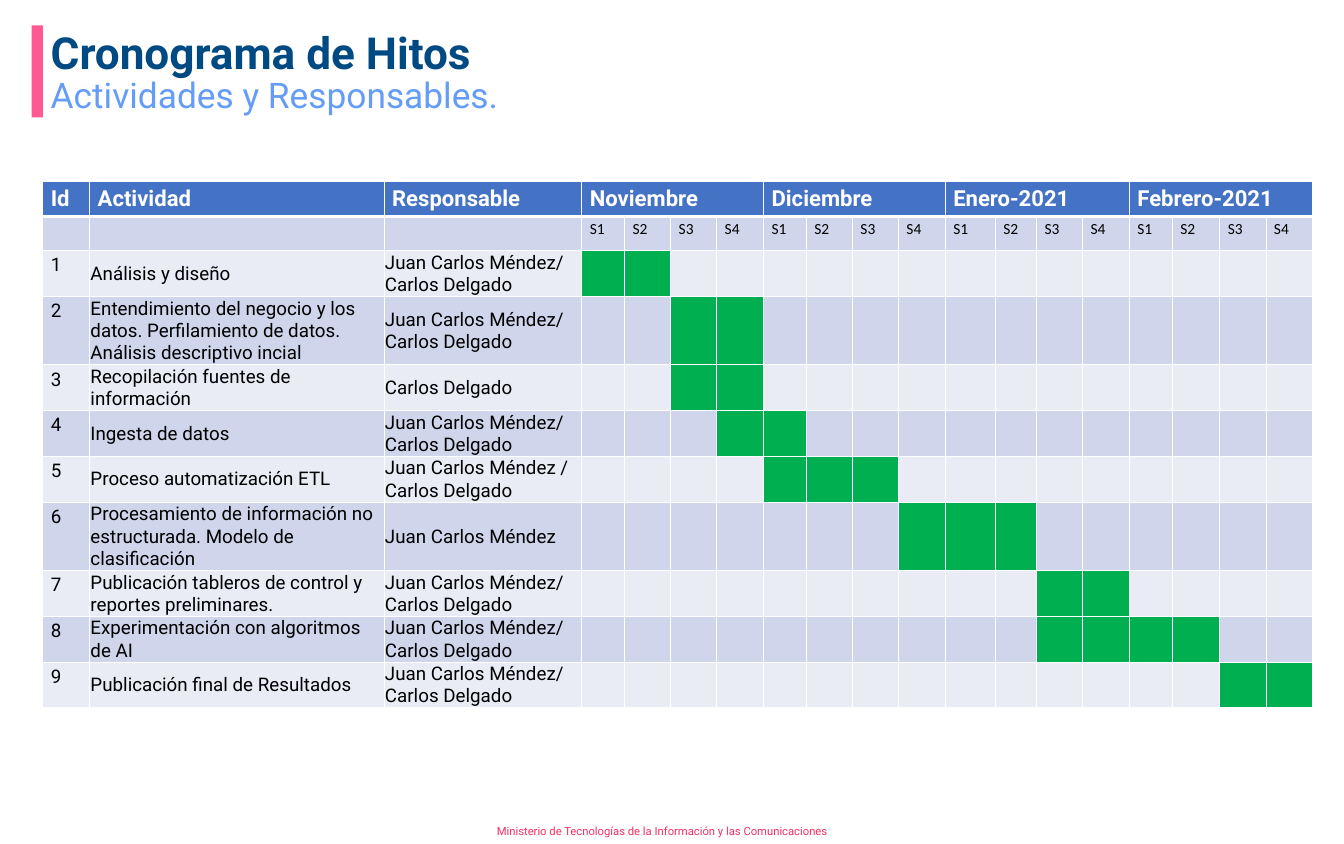
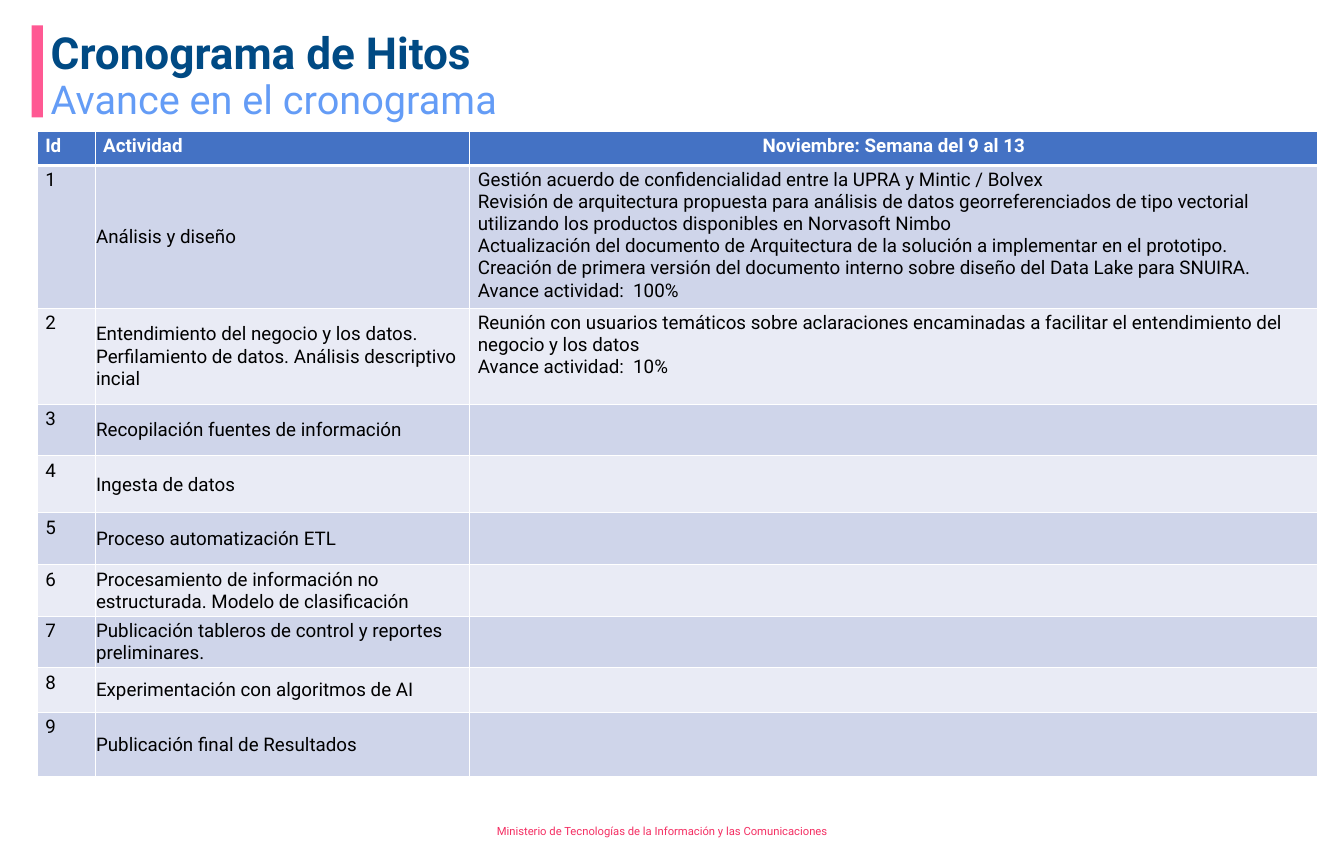
from dataclasses import dataclass
from itertools import accumulate

from lxml import etree
from pptx import Presentation
from pptx import util as u
from pptx.dml.color import RGBColor
from pptx.enum import shapes, text
from pptx.oxml import ns
from pptx.slide import Slide
from pptx.table import Table, _Cell
from pptx.text.text import TextFrame

NAVY = RGBColor(0x00, 0x4A, 0x84)
SKY = RGBColor(0x64, 0x9C, 0xF6)
PINK = RGBColor(0xFF, 0x59, 0x93)
CRIMSON = RGBColor(0xF4, 0x2F, 0x63)
BLUE = RGBColor(0x44, 0x72, 0xC4)
LAVENDER = RGBColor(0xCF, 0xD5, 0xEA)
MIST = RGBColor(0xE9, 0xEB, 0xF5)
GREEN = RGBColor(0x00, 0xB0, 0x50)
WHITE = RGBColor(0xFF, 0xFF, 0xFF)
BLACK = RGBColor(0x00, 0x00, 0x00)

TITLE = "Cronograma de Hitos"
FOOTER = "Ministerio de Tecnologías de la Información y las Comunicaciones"
MONTHS = ["Noviembre", "Diciembre", "Enero-2021", "Febrero-2021"]
WEEKS_PER_MONTH = 4
FIRST_WEEK_COLUMN = 3
TIGHT = {"margin_left": 0.01, "margin_right": 0.01, "margin_top": 0.01, "margin_bottom": 0}
FRAME = {"margin_left": 0.1, "margin_right": 0.1, "margin_top": 0.08, "margin_bottom": 0.05}


@dataclass(frozen=True)
class TextStyle:
    size: float
    color: RGBColor
    bold: bool = False
    name: str = "Roboto"
    align: text.PP_ALIGN = text.PP_ALIGN.LEFT
    line_spacing: float = 1.0


@dataclass(frozen=True)
class Box:
    left: float
    top: float
    width: float
    height: float

    def lengths(self) -> list[u.Length]:
        return [u.Inches(value) for value in (self.left, self.top, self.width, self.height)]


@dataclass(frozen=True)
class Activity:
    name: str
    owner: str
    first_week: int
    weeks: int
    schedule_height: float
    progress_height: float
    progress: str = ""


TITLE_STYLE = TextStyle(40, NAVY, bold=True, line_spacing=0.9)
FOOTER_STYLE = TextStyle(10.2, CRIMSON)
MONTH_STYLE = TextStyle(20, WHITE, bold=True)
WEEK_STYLE = TextStyle(14, BLACK, name="Calibri")
HEADING_STYLE = TextStyle(17, WHITE, bold=True)
CENTERED_HEADING_STYLE = TextStyle(17, WHITE, bold=True, align=text.PP_ALIGN.CENTER)
BODY_STYLE = TextStyle(17, BLACK)

BOTH = "Juan Carlos Méndez/ Carlos Delgado"
DESIGN_PROGRESS = "\n".join([
    "Gestión acuerdo de confidencialidad entre la UPRA y Mintic / Bolvex",
    "Revisión de arquitectura propuesta para análisis de datos georreferenciados de tipo "
    "vectorial utilizando los productos disponibles en Norvasoft Nimbo",
    "Actualización del documento de Arquitectura de la solución a implementar en el prototipo.",
    "Creación de primera versión del documento interno sobre diseño del Data Lake para SNUIRA.",
    "Avance actividad:  100%",
])
BUSINESS_PROGRESS = "\n".join([
    "Reunión con usuarios temáticos sobre aclaraciones encaminadas a facilitar el "
    "entendimiento del negocio y los datos",
    "Avance actividad:  10%",
])
ACTIVITIES = [
    Activity("Análisis y diseño", BOTH, 0, 2, 0.57, 1.78, DESIGN_PROGRESS),
    Activity("Entendimiento del negocio y los datos. Perfilamiento de datos. "
             "Análisis descriptivo incial", BOTH, 2, 2, 0.84, 1.21, BUSINESS_PROGRESS),
    Activity("Recopilación fuentes de información", "Carlos Delgado", 2, 2, 0.57, 0.65),
    Activity("Ingesta de datos", BOTH, 3, 2, 0.57, 0.72),
    Activity("Proceso automatización ETL", "Juan Carlos Méndez / Carlos Delgado",
             4, 3, 0.57, 0.65),
    Activity("Procesamiento de información no estructurada. Modelo de clasificación",
             "Juan Carlos Méndez", 7, 3, 0.84, 0.65),
    Activity("Publicación tableros de control y reportes preliminares.", BOTH, 10, 2, 0.57, 0.65),
    Activity("Experimentación con algoritmos de AI", BOTH, 10, 4, 0.57, 0.56),
    Activity("Publicación final de Resultados", BOTH, 14, 2, 0.57, 0.81),
]


def write_text(frame: TextFrame, content: str, style: TextStyle) -> None:
    frame.text = content
    for paragraph in frame.paragraphs:
        paragraph.alignment = style.align
        paragraph.line_spacing = style.line_spacing
        font_values = {"name": style.name, "size": u.Pt(style.size), "bold": style.bold}
        for run in paragraph.runs:
            for attribute, value in font_values.items():
                setattr(run.font, attribute, value)
            run.font.color.rgb = style.color


def add_text(slide: Slide, box: Box, content: str, style: TextStyle,
             anchor: text.MSO_ANCHOR = text.MSO_ANCHOR.TOP) -> None:
    frame = slide.shapes.add_textbox(*box.lengths()).text_frame
    frame.word_wrap = True
    frame.vertical_anchor = anchor
    for attribute, value in FRAME.items():
        setattr(frame, attribute, u.Inches(value))
    write_text(frame, content, style)


def add_base(presentation: Presentation, subtitle: str, subtitle_size: float,
             subtitle_top: float) -> Slide:
    slide = presentation.slides.add_slide(presentation.slide_layouts[6])
    bar = slide.shapes.add_shape(shapes.MSO_SHAPE.RECTANGLE, *Box(0.4, 0.32, 0.14, 1.16).lengths())
    bar.shadow.inherit = False
    bar.fill.solid()
    bar.fill.fore_color.rgb = PINK
    bar.line.fill.background()
    add_text(slide, Box(6.16, 10.28, 4.6, 0.35), FOOTER, FOOTER_STYLE, text.MSO_ANCHOR.MIDDLE)
    add_text(slide, Box(0.54, 0.32, 15.99, 0.55), TITLE, TITLE_STYLE)
    add_text(slide, Box(0.54, subtitle_top, 13.08, 0.75), subtitle,
             TextStyle(subtitle_size, SKY, line_spacing=0.9))
    return slide


def set_borders(cell: _Cell, bottom_width: float) -> None:
    properties = cell._tc.get_or_add_tcPr()
    for edge, width in {"lnL": 1, "lnR": 1, "lnT": 1, "lnB": bottom_width}.items():
        line = etree.SubElement(properties, ns.qn(f"a:{edge}"), w=str(u.Pt(width)))
        fill = etree.SubElement(line, ns.qn("a:solidFill"))
        etree.SubElement(fill, ns.qn("a:srgbClr"), val=str(WHITE))


def paint_cell(cell: _Cell, color: RGBColor) -> None:
    cell.fill.solid()
    cell.fill.fore_color.rgb = color


def write_tight(cell: _Cell, content: str) -> None:
    cell.vertical_anchor = text.MSO_ANCHOR.MIDDLE
    for attribute, value in TIGHT.items():
        setattr(cell, attribute, u.Inches(value))
    write_text(cell.text_frame, content, BODY_STYLE)


def add_grid(slide: Slide, left: float, top: float, widths: list[float],
             heights: list[float]) -> Table:
    box = Box(left, top, sum(widths), sum(heights))
    table = slide.shapes.add_table(len(heights), len(widths), *box.lengths()).table
    table.horz_banding = False
    for column, width in zip(table.columns, widths):
        column.width = u.Inches(width)
    for index, (row, height) in enumerate(zip(table.rows, heights)):
        row.height = u.Inches(height)
        color = BLUE if index == 0 else (LAVENDER if index % 2 else MIST)
        for cell in row.cells:
            set_borders(cell, 3 if index == 0 else 1)
            paint_cell(cell, color)
    return table


def fill_activities(table: Table, first_row: int) -> None:
    for index, activity in enumerate(ACTIVITIES):
        row = first_row + index
        write_text(table.cell(row, 0).text_frame, str(index + 1), BODY_STYLE)
        write_tight(table.cell(row, 1), activity.name)


def add_schedule(slide: Slide) -> None:
    widths = [0.59, 3.71, 2.49, 0.54, 0.58, 0.58, 0.59, 0.54, 0.58, 0.58, 0.59,
              0.63, 0.52, 0.58, 0.59, 0.54, 0.6, 0.58, 0.59]
    heights = [0.42, 0.43] + [activity.schedule_height for activity in ACTIVITIES]
    table = add_grid(slide, 0.54, 2.29, widths, heights)
    for column, heading in enumerate(["Id", "Actividad", "Responsable"]):
        write_text(table.cell(0, column).text_frame, heading, MONTH_STYLE)
    for month, name in enumerate(MONTHS):
        start = FIRST_WEEK_COLUMN + month * WEEKS_PER_MONTH
        table.cell(0, start).merge(table.cell(0, start + WEEKS_PER_MONTH - 1))
        write_text(table.cell(0, start).text_frame, name, MONTH_STYLE)
        for week in range(WEEKS_PER_MONTH):
            write_text(table.cell(1, start + week).text_frame, f"S{week + 1}", WEEK_STYLE)
    fill_activities(table, 2)
    for row, activity in enumerate(ACTIVITIES, start=2):
        write_tight(table.cell(row, 2), activity.owner)
        start = FIRST_WEEK_COLUMN + activity.first_week
        for column in range(start, start + activity.weeks):
            paint_cell(table.cell(row, column), GREEN)


def add_progress(slide: Slide) -> None:
    heights = [0.43] + [activity.progress_height for activity in ACTIVITIES]
    table = add_grid(slide, 0.47, 1.65, [0.73, 4.72, 10.68], heights)
    headings = {"Id": HEADING_STYLE, "Actividad": HEADING_STYLE,
                "Noviembre: Semana del 9 al 13": CENTERED_HEADING_STYLE}
    for column, (heading, style) in enumerate(headings.items()):
        write_text(table.cell(0, column).text_frame, heading, style)
    fill_activities(table, 1)
    for row, activity in enumerate(ACTIVITIES, start=1):
        if activity.progress:
            write_text(table.cell(row, 2).text_frame, activity.progress, BODY_STYLE)


def main() -> None:
    presentation = Presentation()
    presentation.slide_width = u.Inches(16.93)
    presentation.slide_height = u.Inches(10.63)
    add_schedule(add_base(presentation, "Actividades y Responsables.", 32, 0.9))
    add_progress(add_base(presentation, "Avance en el cronograma", 36, 0.93))
    presentation.save("out.pptx")


main()
